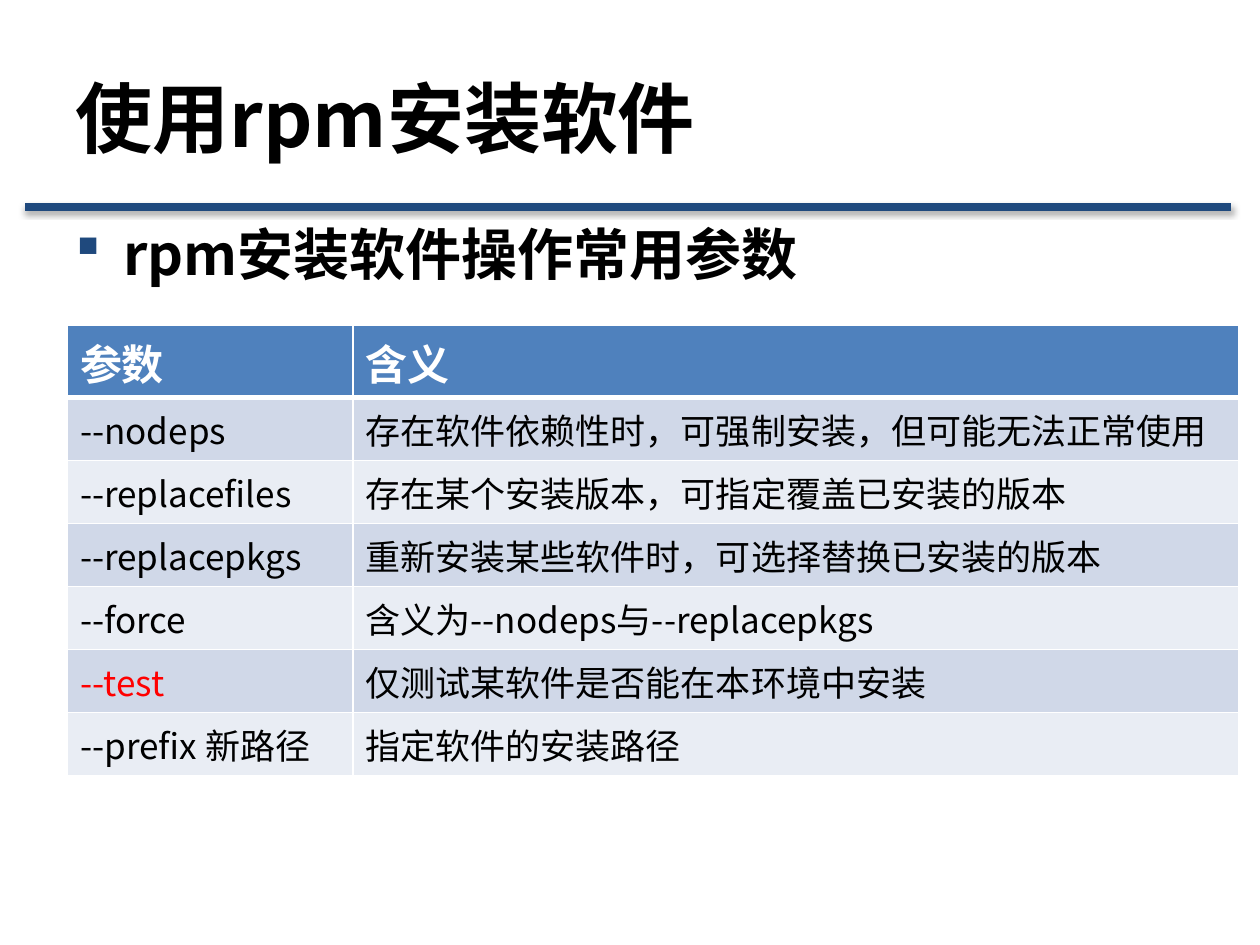
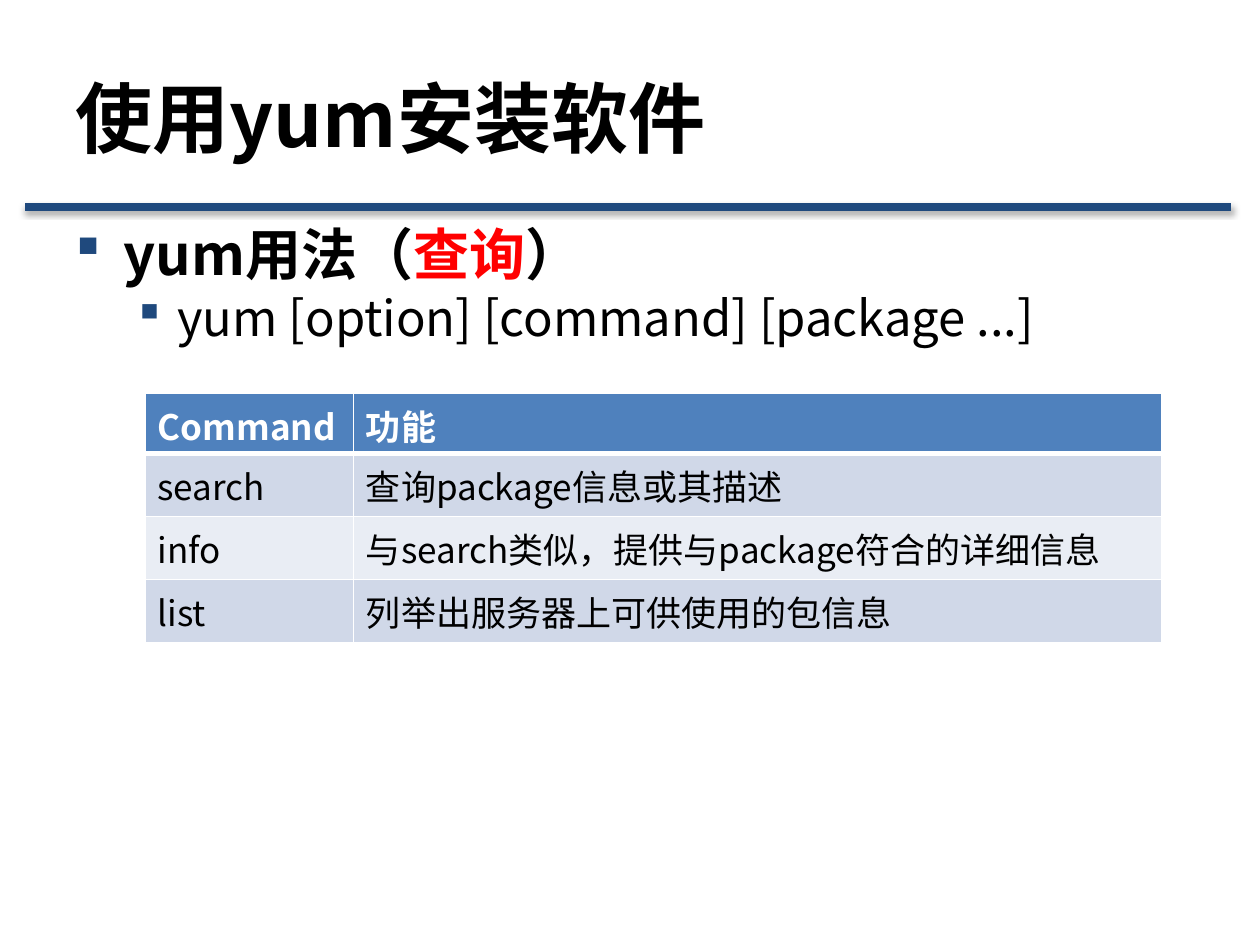
"""Build two slides on installing software with rpm and yum."""
from dataclasses import dataclass

from lxml import etree
from pptx import Presentation
from pptx import util as u
from pptx.dml.color import RGBColor
from pptx.enum import shapes, text
from pptx.oxml.ns import qn


@dataclass(frozen=True)
class Theme:
    """Colours, type sizes and grid shared by the slides."""
    font: str = "Noto Sans CJK SC"
    ink: str = "000000"
    red: str = "FF0000"
    navy: str = "1F497D"
    head: str = "4F81BD"
    bands: tuple = ("D0D8E8", "E9EDF4")
    white: str = "FFFFFF"
    title: int = 44
    levels: tuple = (32, 28)
    indents: tuple = ((3.8, -3.8), (8.1, -3.1))
    cell: int = 20
    cols: int = 100
    rows: int = 75


T = Theme()
UNIT = u.Inches(10) // T.cols


def grid(*nums):
    """Turn grid counts into lengths."""
    return [u.Emu(round(n * UNIT)) for n in nums]


def node(parent, tag, **attrs):
    """Append an XML element with attributes."""
    item = etree.SubElement(parent, qn(tag))
    for key, val in attrs.items():
        item.set(key, str(val))
    return item


def write(para, runs, size, color=T.ink, bold=False):
    """Write runs, each a string or a (string, colour) pair."""
    for part in [runs] if isinstance(runs, str) else runs:
        words, tint = (part, color) if isinstance(part, str) else part
        run = para.add_run()
        run.text = words
        form = {"name": T.font, "size": u.Pt(size), "bold": bold}
        for key, val in form.items():
            setattr(run.font, key, val)
        run.font.color.rgb = RGBColor.from_string(tint)
        node(run.font._element, "a:ea", typeface=T.font)


def frame(slide, area, anchor):
    """Add a wrapping text box and return its frame."""
    body = slide.shapes.add_textbox(*grid(*area)).text_frame
    form = {"word_wrap": True, "vertical_anchor": anchor}
    for key, val in form.items():
        setattr(body, key, val)
    return body


def rule(slide):
    """Draw the shadowed rule under the title."""
    line = slide.shapes.add_connector(
        shapes.MSO_CONNECTOR.STRAIGHT, *grid(2, 16.4, 97.7, 16.4))
    line.line.color.rgb = RGBColor.from_string(T.navy)
    line.line.width = u.Pt(4.5)
    fx = node(line._element.spPr, "a:effectLst")
    shade = node(fx, "a:outerShdw", blurRad=u.Pt(3.1), dist=u.Pt(1.8),
                 dir=90 * 60000, rotWithShape=0)
    tint = node(shade, "a:srgbClr", val=T.ink)
    node(tint, "a:alpha", val=35000)


def bullet(para, level):
    """Give a paragraph its indent, spacing and square bullet."""
    form = {"line_spacing": 0.9, "space_before": u.Pt(4), "level": level}
    for key, val in form.items():
        setattr(para, key, val)
    props = para._p.get_or_add_pPr()
    for key, val in zip(("marL", "indent"), grid(*T.indents[level])):
        props.set(key, str(val))
    node(node(props, "a:buClr"), "a:srgbClr", val=T.navy)
    node(props, "a:buFont", typeface="Wingdings", charset=2)
    node(props, "a:buChar", char="§")


def page(deck, title, points):
    """Add a slide with title, rule and one bullet per level."""
    slide = deck.slides.add_slide(deck.slide_layouts[6])
    rule(slide)
    top = frame(slide, (5, 3, 90, 12.5), text.MSO_ANCHOR.MIDDLE)
    write(top.paragraphs[0], title, T.title, bold=True)
    body = frame(slide, (5, 17.5, 90, 49.5), text.MSO_ANCHOR.TOP)
    for level, runs in enumerate(points):
        para = body.add_paragraph() if level else body.paragraphs[0]
        bullet(para, level)
        write(para, runs, T.levels[level], bold=level == 0)
    return slide


def edge(cell, top, base):
    """Draw white borders round a cell."""
    props = cell._tc.get_or_add_tcPr()
    for side, wide in zip("LRTB", (1, 1, top, base)):
        line = node(props, f"a:ln{side}", w=u.Pt(wide))
        node(node(line, "a:solidFill"), "a:srgbClr", val=T.white)


def table(slide, spot, widths, data, size=T.cell):
    """Add a banded table whose header text has the given size."""
    highs = [size * 0.24] + [5] * (len(data) - 1)
    area = grid(*spot, sum(widths), sum(highs))
    tab = slide.shapes.add_table(len(data), len(widths), *area).table
    for col, wide in zip(tab.columns, grid(*widths)):
        col.width = wide
    for i, (row, high) in enumerate(zip(tab.rows, grid(*highs))):
        row.height = high
        first = i == 0
        fill = T.head if first else T.bands[(i - 1) % 2]
        for cell, runs in zip(row.cells, data[i]):
            edge(cell, 3 if i == 1 else 1, 3 if first else 1)
            cell.fill.solid()
            cell.fill.fore_color.rgb = RGBColor.from_string(fill)
            write(cell.text_frame.paragraphs[0], runs,
                  size if first else T.cell,
                  T.white if first else T.ink, first)


def main():
    """Build and save the deck."""
    deck = Presentation()
    deck.slide_width, deck.slide_height = grid(T.cols, T.rows)

    rpm = page(deck, "使用rpm安装软件", ["rpm安装软件操作常用参数"])
    table(rpm, (5.35, 25.8), (22.65, 70.3), [
        ("参数", "含义"),
        ("--nodeps", "存在软件依赖性时，可强制安装，但可能无法正常使用"),
        ("--replacefiles", "存在某个安装版本，可指定覆盖已安装的版本"),
        ("--replacepkgs", "重新安装某些软件时，可选择替换已安装的版本"),
        ("--force", "含义为--nodeps与--replacepkgs"),
        ([("--test", T.red)], "仅测试某软件是否能在本环境中安装"),
        ("--prefix 新路径", "指定软件的安装路径"),
    ], size=24)

    yum = page(deck, "使用yum安装软件", [
        ["yum用法（", ("查询", T.red), "）"],
        "yum [option] [command] [package ...]",
    ])
    table(yum, (11.5, 31.2), (16.55, 64.15), [
        ("Command", "功能"),
        ("search", "查询package信息或其描述"),
        ("info", "与search类似，提供与package符合的详细信息"),
        ("list", "列举出服务器上可供使用的包信息"),
    ])
    deck.save("out.pptx")


if __name__ == "__main__":
    main()
